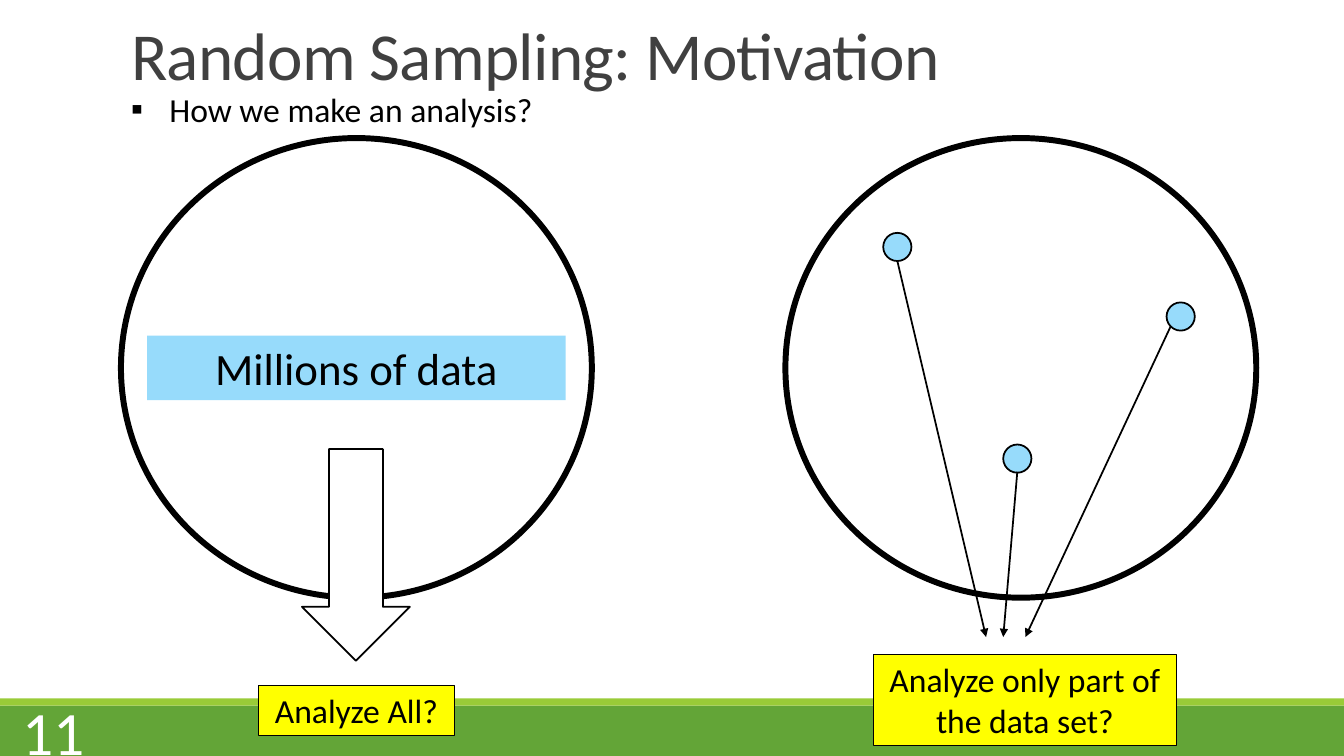
import pptx
import pptx.dml.color
import pptx.enum.shapes
import pptx.enum.text
import pptx.oxml
import pptx.oxml.ns
import pptx.util

Inches = pptx.util.Inches
Pt = pptx.util.Pt
Shape = pptx.enum.shapes.MSO_SHAPE
Align = pptx.enum.text.PP_ALIGN
Anchor = pptx.enum.text.MSO_ANCHOR

FONT = "Calibri"
BLACK, WHITE, BLUE, YELLOW = "000000", "FFFFFF", "97DBFB", "FFFF00"

TITLE = "Random Sampling: Motivation"
QUESTION = "How we make an analysis?"
SLIDE_NUMBER = "11"
BANDS = [((0, 7, 13.33, 0.5), "63A537"), ((0, 6.93, 13.33, 0.07), "99CB38")]

POPULATION_LEFTS = [1.2, 7.79]
POPULATION_TOP, POPULATION_SIZE = 1.37, (4.67, 4.56)
SAMPLE_SIZE = 0.28
# sample left and top, arrow start, arrow end x
SAMPLES = [
    ((8.76, 2.31), (8.9, 2.59), 9.78),
    ((9.95, 4.41), (10.09, 4.68), 9.95),
    ((11.57, 3), (11.61, 3.24), 10.17),
]
ARROW_END_Y = 6.32
# text, box, fill, line width, text size
LABELS = [
    ("Millions of data", (1.46, 3.33, 4.15, 0.64), BLUE, None, 32),
    ("Analyze All?", (2.56, 6.8, 1.95, 0.5), YELLOW, 0.75, 24),
    ("Analyze only part of the data set?", (8.66, 6.49, 3.01, 0.91), YELLOW, 0.75, 24),
]
BLOCK_ARROW = (2.48, 4.97, 2.1, 1.07)


def rgb(value):
    return pptx.dml.color.RGBColor.from_string(value)


def place(shape, box):
    shape.left, shape.top, shape.width, shape.height = map(Inches, box)


def write(shape, text, size, color=BLACK, align=Align.LEFT, anchor=Anchor.TOP, wrap=True):
    """Fill the shape with one paragraph and return it."""
    frame = shape.text_frame
    frame.auto_size = pptx.enum.text.MSO_AUTO_SIZE.NONE
    frame.word_wrap = wrap
    frame.vertical_anchor = anchor
    paragraph = frame.paragraphs[0]
    paragraph.alignment = align
    paragraph.space_before = Pt(0)
    run = paragraph.add_run()
    run.text = text
    run.font.name, run.font.size = FONT, Pt(size)
    run.font.color.rgb = rgb(color)
    return paragraph


def add_shape(slide, kind, box, fill, line_width=None):
    shape = slide.shapes.add_shape(kind, *map(Inches, box))
    shape.shadow.inherit = False
    shape.fill.solid()
    shape.fill.fore_color.rgb = rgb(fill)
    if line_width is None:
        shape.line.fill.background()
    else:
        shape.line.color.rgb = rgb(BLACK)
        shape.line.width = Pt(line_width)
    return shape


def add_arrow(slide, start, end):
    arrow = slide.shapes.add_connector(
        pptx.enum.shapes.MSO_CONNECTOR.STRAIGHT, *map(Inches, (*start, *end)))
    arrow.line.color.rgb = rgb(BLACK)
    arrow.line.width = Pt(1.25)
    line = arrow.line._get_or_add_ln()
    pptx.oxml.ns.qn("a:tailEnd")
    line.append(line.makeelement(pptx.oxml.ns.qn("a:tailEnd"), {"type": "triangle"}))
    properties = arrow._element.spPr
    properties.append(properties.makeelement(pptx.oxml.ns.qn("a:effectLst"), {}))


def add_bullet(paragraph, character, indent):
    properties = paragraph._p.get_or_add_pPr()
    properties.set("marL", str(Inches(indent)))
    properties.set("indent", str(-Inches(indent)))
    for tag, name, value in (("a:buFont", "typeface", FONT), ("a:buChar", "char", character)):
        properties.append(properties.makeelement(pptx.oxml.ns.qn(tag), {name: value}))


def main():
    presentation = pptx.Presentation()
    presentation.slide_width = Inches(13.33)
    presentation.slide_height = Inches(7.5)
    slide = presentation.slides.add_slide(presentation.slide_layouts[1])

    title, question = slide.placeholders
    place(title, (1.2, 0.11, 11, 0.87))
    paragraph = write(title, TITLE, 48, color="404040", anchor=Anchor.BOTTOM)
    paragraph.line_spacing = 0.85
    paragraph.runs[0].font._element.set("spc", "-50")

    place(question, (1.2, 0.83, 4.21, 0.5))
    add_bullet(write(question, QUESTION, 24, wrap=False), "▪", 0.38)

    for box, color in BANDS:
        add_shape(slide, Shape.RECTANGLE, box, color)
    number = slide.shapes.add_textbox(*map(Inches, (-0.49, 7.05, 1.43, 0.4)))
    write(number, SLIDE_NUMBER, 44, color=WHITE, align=Align.RIGHT, anchor=Anchor.MIDDLE)

    for left in POPULATION_LEFTS:
        add_shape(slide, Shape.OVAL, (left, POPULATION_TOP, *POPULATION_SIZE), WHITE, 4.25)
    for corner, start, end_x in SAMPLES:
        add_shape(slide, Shape.OVAL, (*corner, SAMPLE_SIZE, SAMPLE_SIZE), BLUE, 1.25)
        add_arrow(slide, start, (end_x, ARROW_END_Y))
    for text, box, fill, line_width, size in LABELS:
        label = add_shape(slide, Shape.RECTANGLE, box, fill, line_width)
        write(label, text, size, align=Align.CENTER)

    block_arrow = add_shape(slide, Shape.RIGHT_ARROW, BLOCK_ARROW, WHITE, 1.25)
    block_arrow.rotation = 90

    presentation.save("out.pptx")


if __name__ == "__main__":
    main()
